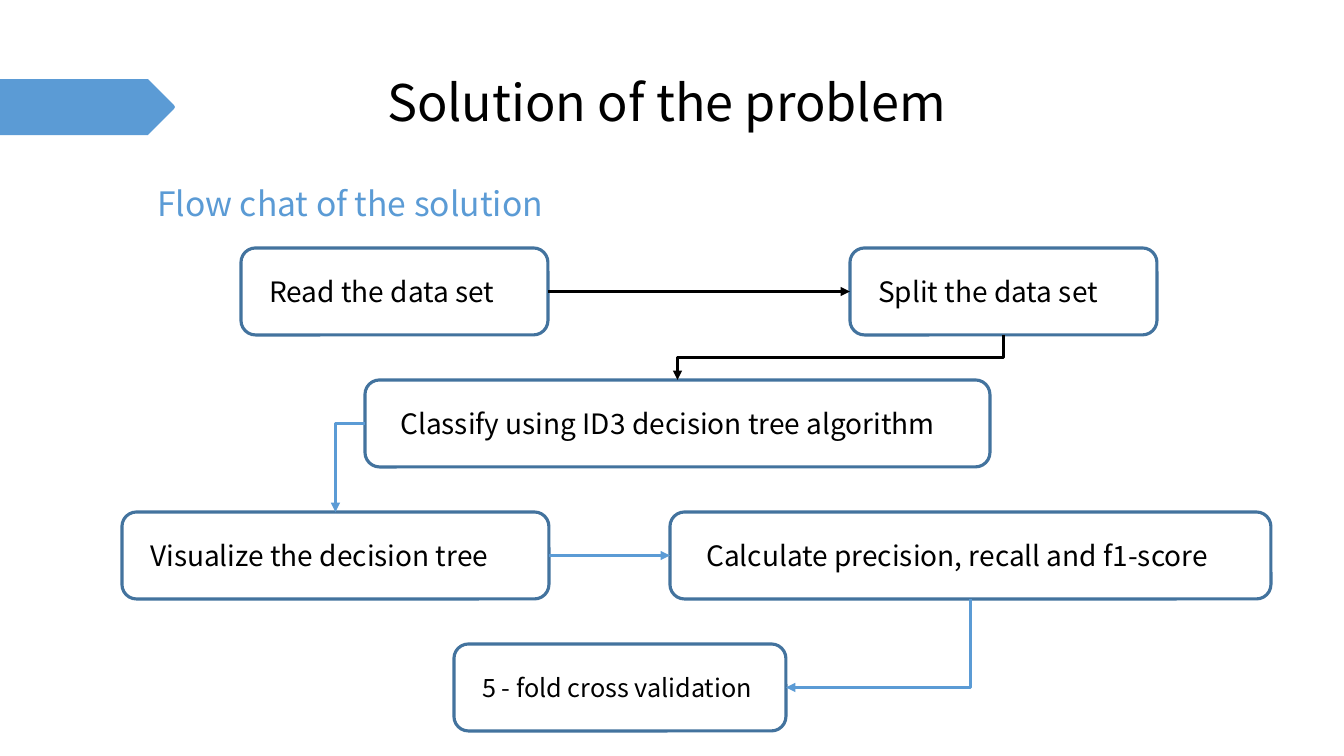
from lxml import etree
from pptx import Presentation
from pptx.dml.color import RGBColor
from pptx.enum.shapes import MSO_CONNECTOR as Connector, MSO_SHAPE as Shape
from pptx.enum.text import MSO_ANCHOR as Anchor, PP_ALIGN as Align
from pptx.oxml.ns import qn
from pptx.util import Pt

EMU_PER_PX = 12192000 / 1344
FONT = "Noto Sans CJK SC"
BLACK = RGBColor(0x00, 0x00, 0x00)
BLUE = RGBColor(0x5B, 0x9B, 0xD5)
OUTLINE = RGBColor(0x43, 0x73, 0x9E)
LINE_WIDTH = Pt(2.25)
BOX_HEIGHT, ROW_PITCH = 87, 132
DOWN, RIGHT = 2, 3


def px(length):
    """Turn pixels into EMU."""
    return round(length * EMU_PER_PX)


def write_text(frame, text, size, color, align):
    """Write one styled run, centred vertically, into a text frame."""
    frame.vertical_anchor = Anchor.MIDDLE
    paragraph = frame.paragraphs[0]
    paragraph.alignment = align
    run = paragraph.add_run()
    run.text = text
    run.font.size = Pt(size)
    run.font.name = FONT
    run.font.color.rgb = color


def add_heading(slide, box, text, size, color):
    """Place a centred heading in the given box."""
    frame = slide.shapes.add_textbox(*map(px, box)).text_frame
    frame.word_wrap = False
    write_text(frame, text, size, color, Align.CENTER)


def add_banner(slide, left, top, width, height):
    """Draw the blue tag with a slightly blunted tip."""
    right, bottom, middle = left + width, top + height, top + height // 2
    shoulder = right - 27
    builder = slide.shapes.build_freeform(left, top, scale=EMU_PER_PX)
    builder.add_line_segments([
        (shoulder, top), (right - 1, middle - 2), (right, middle),
        (right - 1, middle + 2), (shoulder, bottom), (left, bottom)])
    banner = builder.convert_to_shape()
    banner.shadow.inherit = False
    banner.fill.solid()
    banner.fill.fore_color.rgb = BLUE
    banner.line.fill.background()


def add_step(slide, left, top, width, text, inset=24, size=20):
    """Draw one outlined step of the flow with its label."""
    step = slide.shapes.add_shape(
        Shape.ROUNDED_RECTANGLE, px(left), px(top), px(width), px(BOX_HEIGHT))
    step.shadow.inherit = False
    step.fill.background()
    step.line.color.rgb = OUTLINE
    step.line.width = LINE_WIDTH
    frame = step.text_frame
    frame.word_wrap = True
    frame.margin_left, frame.margin_right = px(inset), 0
    write_text(frame, text, size, BLACK, Align.LEFT)
    return step


def style_arrow(connector, color):
    """Give a connector its colour, width and arrowhead."""
    connector.line.color.rgb = color
    connector.line.width = LINE_WIDTH
    tail = etree.SubElement(connector.line._get_or_add_ln(), qn("a:tailEnd"))
    tail.set("type", "triangle")
    etree.SubElement(connector._element.spPr, qn("a:effectLst"))


def add_straight(slide, source, target, color):
    """Join the right side of one step to the left side of the next."""
    connector = slide.shapes.add_connector(Connector.STRAIGHT, 0, 0, 0, 0)
    connector.begin_connect(source, 3)
    connector.end_connect(target, 1)
    style_arrow(connector, color)


def add_elbow(slide, start, end, color, bends, leaves_down):
    """Draw a bent arrow that runs down and to the left."""
    (x1, y1), (x2, y2) = start, end
    if leaves_down:
        middle_x, middle_y = (x1 + x2) // 2, (y1 + y2) // 2
        half_width, half_height = (y2 - y1) // 2, (x1 - x2) // 2
        x1, x2 = middle_x - half_width, middle_x + half_width
        y1, y2 = middle_y - half_height, middle_y + half_height
    connector = slide.shapes.add_connector(Connector.ELBOW, x1, y1, x2, y2)
    properties = connector._element.spPr
    properties.find(qn("a:prstGeom")).set("prst", f"bentConnector{bends + 1}")
    if leaves_down:
        properties.find(qn("a:xfrm")).set("rot", str(90 * 60000))
    style_arrow(connector, color)


def side(step, index):
    """Return the middle of a step's side: 0 top, 1 left, 2 bottom, 3 right."""
    across = (step.width // 2, 0, step.width // 2, step.width)[index]
    along = (0, step.height // 2, step.height, step.height // 2)[index]
    return step.left + across, step.top + along


def add_flow(slide, left, top):
    """Lay out the six steps in four rows and link them."""
    rows = [top + row * ROW_PITCH for row in range(4)]
    read = add_step(slide, left + 119, rows[0], 307, "Read the data set")
    split = add_step(slide, left + 728, rows[0], 307, "Split the data set")
    classify = add_step(slide, left + 243, rows[1], 625,
                        "Classify using ID3 decision tree algorithm", inset=31)
    visualize = add_step(slide, left, rows[2], 427, "Visualize the decision tree")
    calculate = add_step(slide, left + 548, rows[2], 601,
                         "Calculate precision, recall and f1-score", inset=32)
    validate = add_step(slide, left + 332, rows[3], 332,
                        "5 - fold cross validation", size=18)
    add_straight(slide, read, split, BLACK)
    add_elbow(slide, side(split, DOWN), side(classify, 0), BLACK, 2, True)
    add_elbow(slide, side(classify, 1), side(visualize, 0), BLUE, 1, False)
    add_straight(slide, visualize, calculate, BLUE)
    add_elbow(slide, side(calculate, DOWN), side(validate, RIGHT), BLUE, 1, True)


def main():
    """Build the slide and save it."""
    presentation = Presentation()
    presentation.slide_width, presentation.slide_height = px(1344), px(756)
    slide = presentation.slides.add_slide(presentation.slide_layouts[6])
    add_banner(slide, 0, 79, 175, 56)
    add_heading(slide, (368, 66, 597, 71), "Solution of the problem", 36, BLACK)
    add_heading(slide, (141, 178, 418, 50), "Flow chat of the solution", 24, BLUE)
    add_flow(slide, 122, 248)
    presentation.save("out.pptx")


if __name__ == "__main__":
    main()
